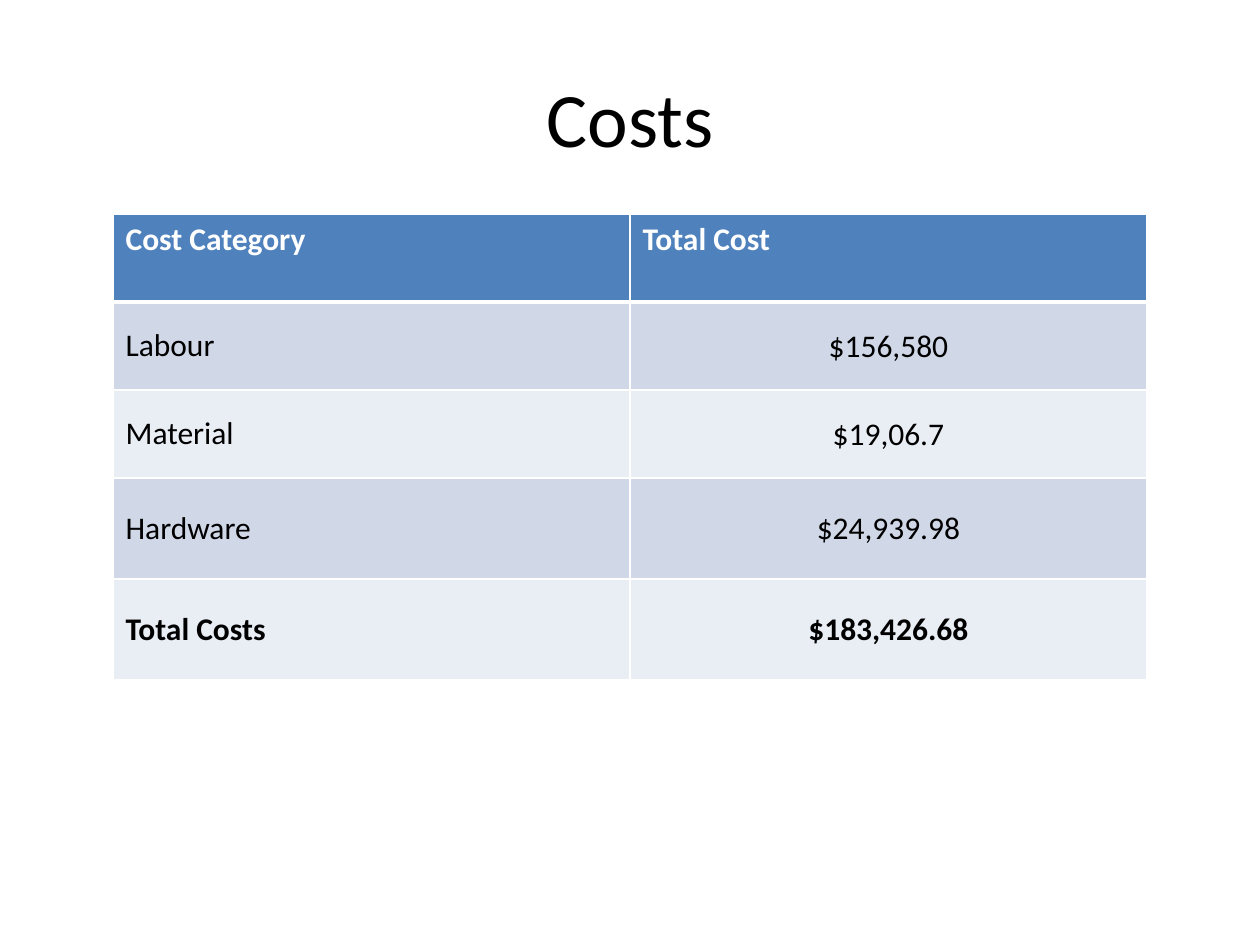
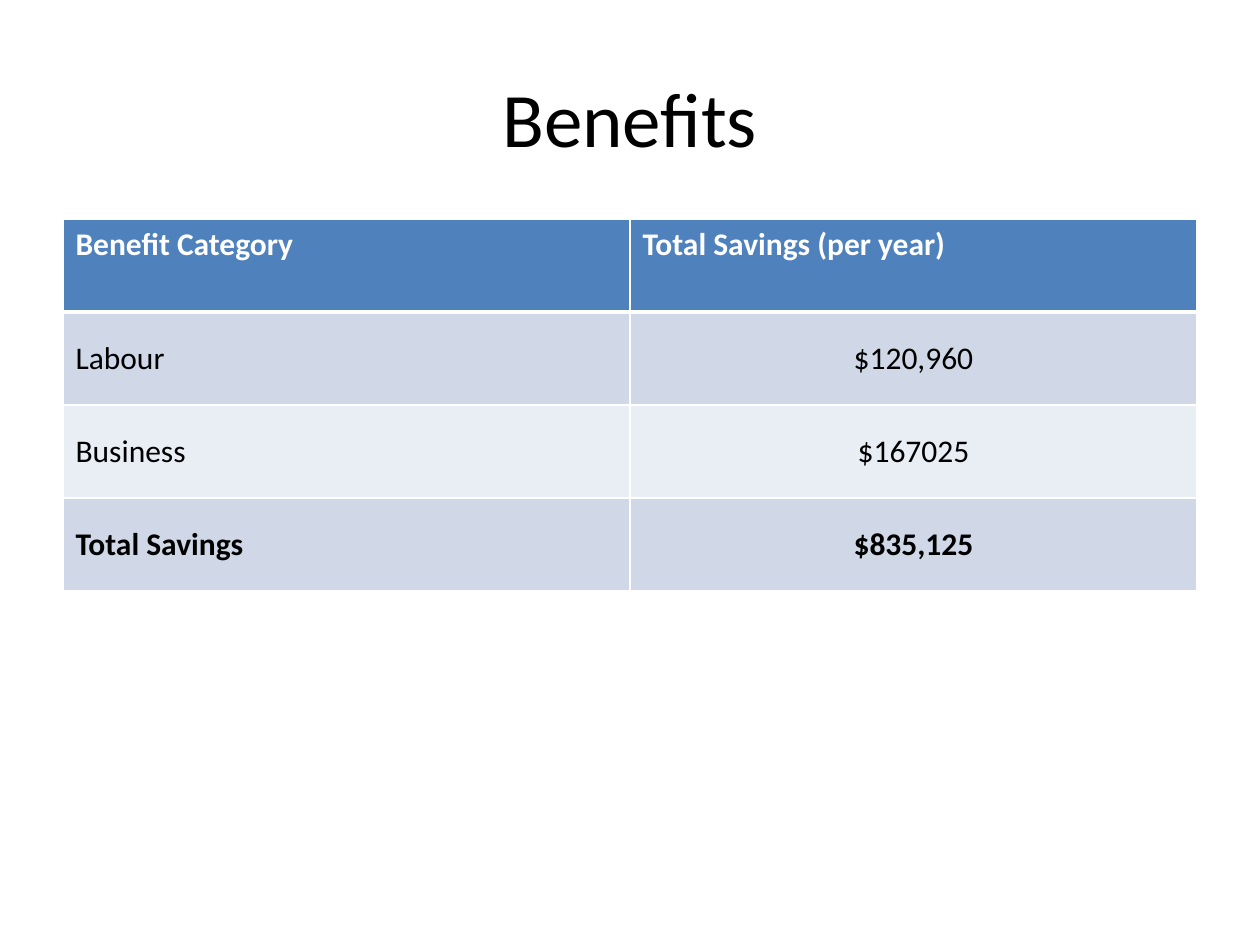
from dataclasses import dataclass

from lxml.etree import SubElement
from pptx import Presentation
from pptx.dml.color import RGBColor
from pptx.enum.text import MSO_ANCHOR as Anchor, PP_ALIGN as Align
from pptx.oxml.ns import qn
from pptx.presentation import Presentation as Deck
from pptx.slide import Slide
from pptx.table import _Cell as Cell
from pptx.util import Emu, Pt

EMU_PER_PIXEL = 914400 / 126
FONT = "Calibri"
BLACK = RGBColor(0x00, 0x00, 0x00)
WHITE = RGBColor(0xFF, 0xFF, 0xFF)
HEADER_BLUE = RGBColor(0x4F, 0x81, 0xBD)
BANDS = (RGBColor(0xD0, 0xD8, 0xE8), RGBColor(0xE9, 0xED, 0xF4))
TITLE_BOX = (63, 38, 1134, 157)
THIN, THICK = Pt(1), Pt(3)


@dataclass(frozen=True)
class TableSlide:
    title: str
    left: int
    top: int
    column_width: int
    row_heights: tuple[int, ...]
    rows: tuple[tuple[str, str], ...]


SLIDES = (
    TableSlide(
        "Costs", 113, 214, 517, (88, 88, 88, 101, 101),
        (
            ("Cost Category", "Total Cost"),
            ("Labour", "$156,580"),
            ("Material", "$19,06.7"),
            ("Hardware", "$24,939.98"),
            ("Total Costs", "$183,426.68"),
        ),
    ),
    TableSlide(
        "Benefits", 63, 219, 567, (93, 93, 93, 93),
        (
            ("Benefit Category", "Total Savings (per year)"),
            ("Labour", "$120,960"),
            ("Business", "$167025"),
            ("Total Savings", "$835,125"),
        ),
    ),
)


def pixels(length: int) -> Emu:
    return Emu(round(length * EMU_PER_PIXEL))


def add_title(slide: Slide, text: str) -> None:
    title = slide.shapes.title
    title.left, title.top, title.width, title.height = map(pixels, TITLE_BOX)
    frame = title.text_frame
    frame.text = text
    frame.vertical_anchor = Anchor.MIDDLE
    paragraph = frame.paragraphs[0]
    paragraph.alignment = Align.CENTER
    paragraph.font.name = FONT
    paragraph.font.size = Pt(44)
    paragraph.font.color.rgb = BLACK


def set_borders(cell: Cell, top: Emu, bottom: Emu) -> None:
    properties = cell._tc.get_or_add_tcPr()
    widths = {"a:lnL": THIN, "a:lnR": THIN, "a:lnT": top, "a:lnB": bottom}
    for tag, width in widths.items():
        line = SubElement(properties, qn(tag), w=str(int(width)))
        fill = SubElement(line, qn("a:solidFill"))
        SubElement(fill, qn("a:srgbClr"), val=str(WHITE))


def format_cell(cell: Cell, text: str, row: int, column: int, last_row: int) -> None:
    is_header = row == 0
    set_borders(cell, THICK if row == 1 else THIN, THICK if is_header else THIN)
    cell.fill.solid()
    cell.fill.fore_color.rgb = HEADER_BLUE if is_header else BANDS[(row - 1) % 2]
    cell.text = text
    cell.vertical_anchor = Anchor.TOP if is_header else Anchor.MIDDLE
    paragraph = cell.text_frame.paragraphs[0]
    paragraph.alignment = Align.LEFT
    if column == 1 and not is_header:
        paragraph.alignment = Align.CENTER
        cell.margin_left = cell.margin_right = cell.margin_top = pixels(1)
        cell.margin_bottom = 0
    paragraph.font.name = FONT
    paragraph.font.size = Pt(18)
    paragraph.font.bold = row in (0, last_row)
    paragraph.font.color.rgb = WHITE if is_header else BLACK


def add_table(slide: Slide, content: TableSlide) -> None:
    table = slide.shapes.add_table(
        len(content.rows), 2,
        pixels(content.left), pixels(content.top),
        pixels(2 * content.column_width), pixels(sum(content.row_heights)),
    ).table
    for table_row, height in zip(table.rows, content.row_heights):
        table_row.height = pixels(height)
    for row, texts in enumerate(content.rows):
        for column, text in enumerate(texts):
            format_cell(table.cell(row, column), text, row, column, len(content.rows) - 1)


def add_table_slide(presentation: Deck, content: TableSlide) -> None:
    slide = presentation.slides.add_slide(presentation.slide_layouts.get_by_name("Title Only"))
    slide.background.fill.solid()
    slide.background.fill.fore_color.rgb = WHITE
    add_title(slide, content.title)
    add_table(slide, content)


presentation = Presentation()
presentation.slide_width = pixels(1260)
presentation.slide_height = pixels(945)
for content in SLIDES:
    add_table_slide(presentation, content)
presentation.save("out.pptx")
